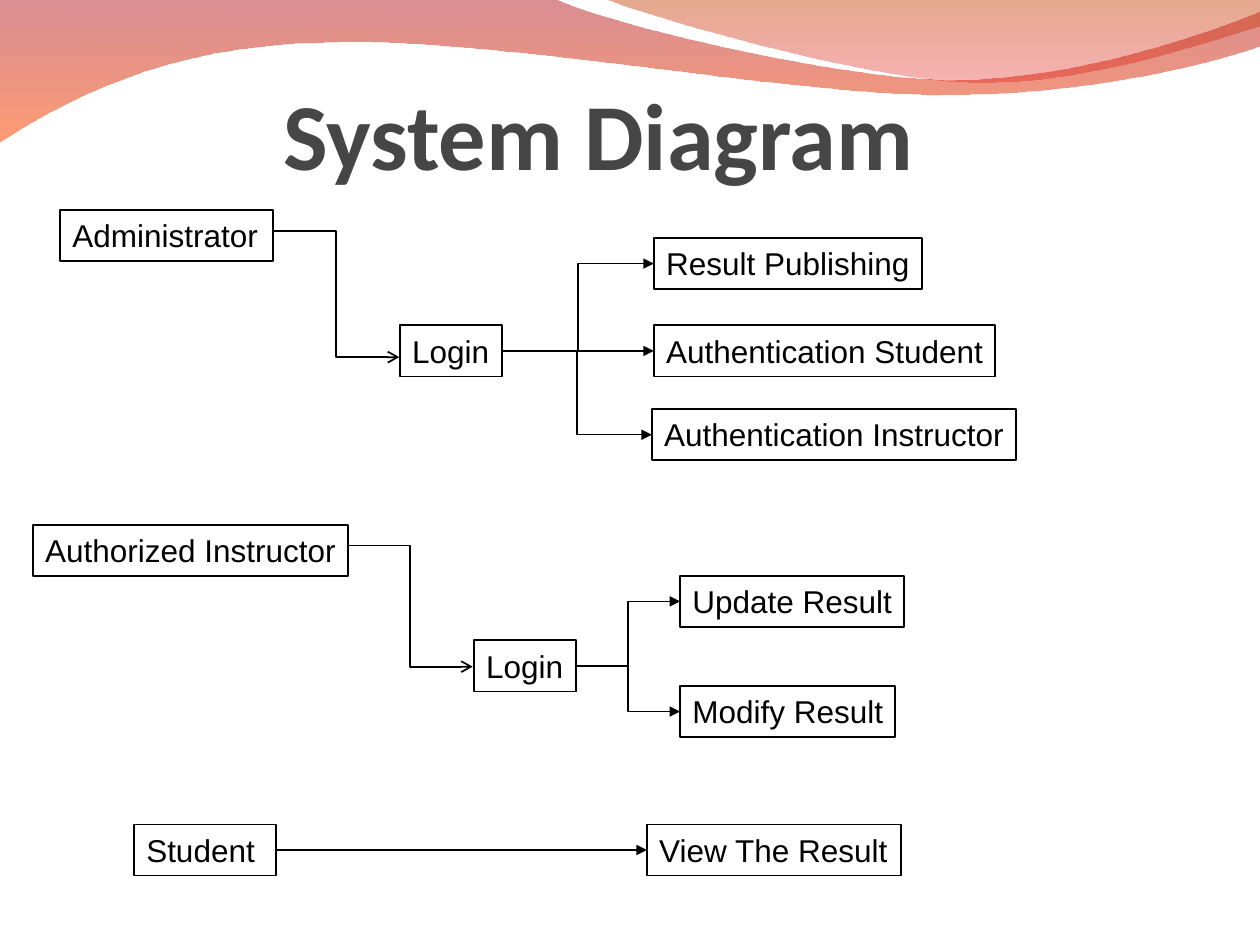
from lxml import etree
from pptx import Presentation
from pptx.dml.color import RGBColor
from pptx.enum.shapes import MSO_CONNECTOR, MSO_SHAPE
from pptx.enum.text import MSO_ANCHOR, PP_ALIGN
from pptx.oxml.ns import qn
from pptx.util import Cm, Pt

STRAIGHT, ELBOW = MSO_CONNECTOR.STRAIGHT, MSO_CONNECTOR.ELBOW
RECT = MSO_SHAPE.RECTANGLE
LEFT, CENTER = PP_ALIGN.LEFT, PP_ALIGN.CENTER
TOP, BOTTOM = MSO_ANCHOR.TOP, MSO_ANCHOR.BOTTOM
LEFT_SIDE, RIGHT_SIDE = 1, 3

COLORS = {
    "ink": "000000", "title": "464646",
    "crimson": "AE060E", "orange": "FF4A00",
    "rust": "C44000", "red": "E10004",
}
BOX_H = 1.03

# Name: text, left, top, width (cm)
BOXES = {
    "admin": ("Administrator", 1.21, 4.24, 4.29),
    "admin_login": ("Login", 8.06, 6.56, 2.06),
    "publish": ("Result Publishing", 13.18, 4.8, 5.41),
    "auth_student": ("Authentication Student", 13.18, 6.56, 6.88),
    "auth_instructor": ("Authentication Instructor", 13.14, 8.25, 7.34),
    "instructor": ("Authorized Instructor", 0.66, 10.58, 6.35),
    "instructor_login": ("Login", 9.55, 12.91, 2.06),
    "update": ("Update Result", 13.71, 11.61, 4.52),
    "modify": ("Modify Result", 13.71, 13.83, 4.34),
    "student": ("Student", 2.7, 16.62, 2.87),
    "view": ("View The Result", 13.04, 16.62, 5.13),
}
LINKS = [
    ("admin_login", "auth_student", STRAIGHT),
    ("admin_login", "publish", ELBOW),
    ("admin_login", "auth_instructor", ELBOW),
    ("instructor_login", "modify", ELBOW),
    ("instructor_login", "update", ELBOW),
    ("student", "view", STRAIGHT),
]
# Elbows that meet the boxes off their middles: begin x, y, end x, y (cm)
LOGIN_ARROWS = [(5.51, 4.66, 8.05, 7.2), (6.99, 11.0, 9.53, 13.44)]

# Each wave is a start point, then line ends (2 numbers) or cubic curves (6), cm
WAVES = [
    ([(0, -0.03), (11.18, -0.03),
      (12.09, 0.43, 16.87, 1.6, 19.25, 1.6),
      (21.67, 1.6, 24.33, 0.66, 25.4, 0.23),
      (25.43, 0.91),
      (24.97, 1.12, 22.1, 1.93, 18.95, 1.91),
      (15.8, 1.91, 9.7, 0.71, 6.53, 0.86),
      (3.28, 0.89, 1.17, 2.11, -0.03, 2.87)],
     [("crimson", 45), ("orange", 55)]),
    ([(12.17, -0.03),
      (12.93, 0.28, 17.32, 1.57, 19.53, 1.65),
      (21.74, 1.75, 24.41, 0.81, 25.4, 0.53),
      (25.4, 0)],
     [("rust", 45), ("red", 30)]),
]


def rgb(name):
    return RGBColor.from_string(COLORS[name])


def bend_segments(sp, steps):
    """Join each three line segments of a curve step into one cubic curve."""
    segments = iter(list(sp._element.iter(qn("a:lnTo"))))
    for step in steps:
        group = [next(segments) for _ in range(len(step) // 2)]
        if len(group) == 3:
            curve = etree.Element(qn("a:cubicBezTo"))
            group[0].addprevious(curve)
            for segment in group:
                curve.append(segment[0])
                segment.getparent().remove(segment)


def add_wave(slide, path, stops):
    start, *rest = [(Cm(step[i]), Cm(step[i + 1]))
                    for step in path for i in range(0, len(step), 2)]
    builder = slide.shapes.build_freeform(*start)
    builder.add_line_segments(rest, close=True)
    sp = builder.convert_to_shape()
    bend_segments(sp, path[1:])
    sp.shadow.inherit = False
    sp.line.fill.background()
    sp.fill.gradient()
    sp.fill.gradient_angle = 270
    for stop, (name, _) in zip(sp.fill.gradient_stops, stops):
        stop.color.rgb = rgb(name)
    for color, (_, opacity) in zip(sp._element.spPr.iter(qn("a:srgbClr")), stops):
        etree.SubElement(color, qn("a:alpha"), val=str(opacity * 1000))


def write_text(tf, text, font="Arial", size=18, color="ink", bold=False,
               align=LEFT, anchor=TOP):
    tf.word_wrap = True
    tf.vertical_anchor = anchor
    p = tf.paragraphs[0]
    p.alignment = align
    r = p.add_run()
    r.text = text
    r.font.name, r.font.size, r.font.bold = font, Pt(size), bold
    r.font.color.rgb = rgb(color)


def add_title(slide, text):
    sp = slide.shapes.add_textbox(Cm(0), Cm(1.27), Cm(24.13), Cm(2.54))
    tf = sp.text_frame
    tf.margin_left = tf.margin_right = tf.margin_bottom = 0
    write_text(tf, text, font="Calibri", size=54, color="title", bold=True,
               align=CENTER, anchor=BOTTOM)


def add_box(slide, text, left, top, width):
    sp = slide.shapes.add_shape(RECT, Cm(left), Cm(top), Cm(width), Cm(BOX_H))
    sp.shadow.inherit = False
    sp.fill.background()
    sp.line.color.rgb = rgb("ink")
    sp.line.width = Pt(1)
    sp.text_frame.margin_right = 0
    write_text(sp.text_frame, text)
    return sp


def add_arrow(slide, kind, ends=(0, 0, 0, 0), width=0.75, head="triangle"):
    line = slide.shapes.add_connector(kind, *[Cm(v) for v in ends])
    line.line.color.rgb = rgb("ink")
    line.line.width = Pt(width)
    etree.SubElement(line.line._get_or_add_ln(), qn("a:tailEnd"), type=head)
    etree.SubElement(line._element.spPr, qn("a:effectLst"))
    return line


def main():
    prs = Presentation()
    prs.slide_width, prs.slide_height = Cm(25.4), Cm(19.05)
    slide = prs.slides.add_slide(prs.slide_layouts[6])

    # Header waves and title
    for path, stops in WAVES:
        add_wave(slide, path, stops)
    add_title(slide, "System Diagram")

    # Actors, logins and actions
    boxes = {name: add_box(slide, *box) for name, box in BOXES.items()}

    # Arrows into the logins, then out to the actions
    for ends in LOGIN_ARROWS:
        add_arrow(slide, ELBOW, ends, width=1, head="arrow")
    for source, target, kind in LINKS:
        line = add_arrow(slide, kind)
        line.begin_connect(boxes[source], RIGHT_SIDE)
        line.end_connect(boxes[target], LEFT_SIDE)

    prs.save("out.pptx")


if __name__ == "__main__":
    main()
